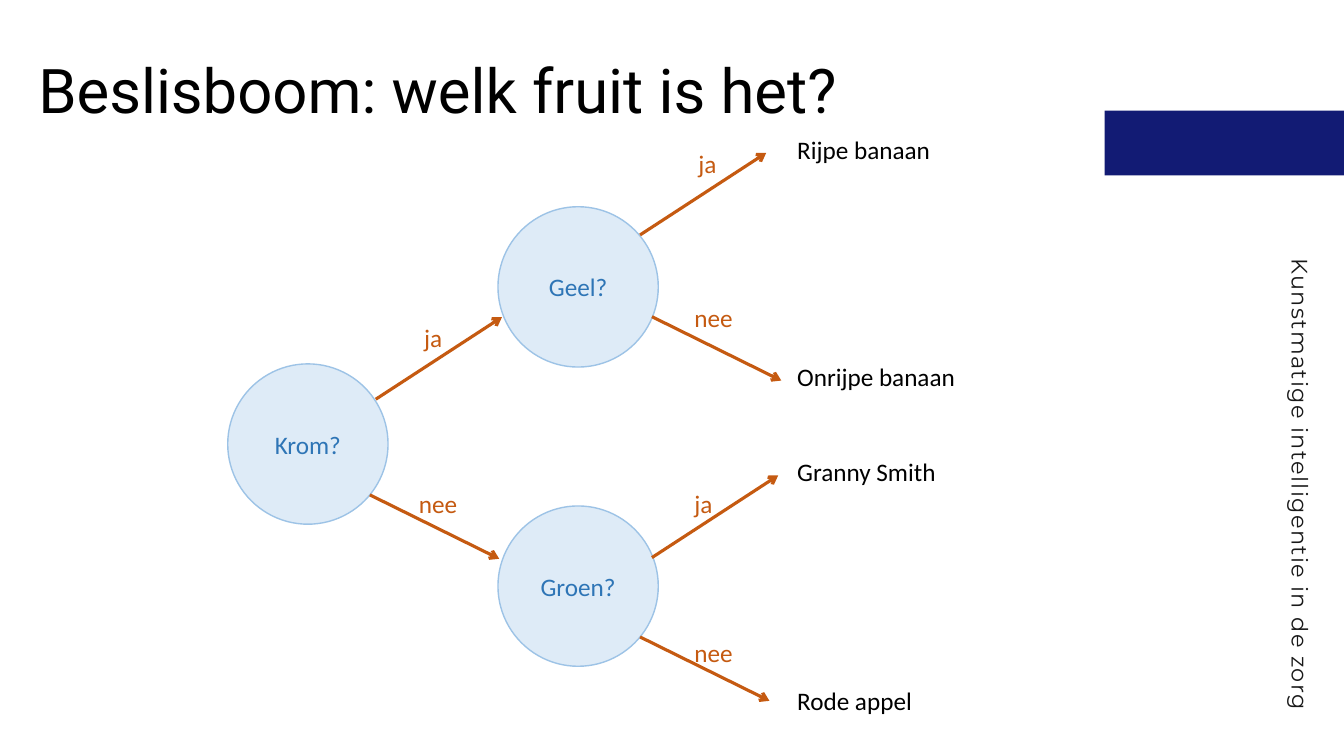
"""Build a slide with a decision tree that sorts fruit."""
from lxml import etree
from pptx import Presentation
from pptx.dml.color import RGBColor
from pptx.enum import shapes, text
from pptx.oxml.ns import qn
from pptx.util import Cm, Pt

TITLE = "Beslisboom: welk fruit is het?"
SIDE = "Kunstmatige intelligentie in de zorg"
NODES = [("Krom?", 5.74, 9.17), ("Geel?", 12.55, 5.21), ("Groen?", 12.55, 12.75)]
LEAVES = [
    ("Rijpe banaan", 3.25),
    ("Onrijpe banaan", 8.99),
    ("Granny Smith", 11.38),
    ("Rode appel", 17.15),
]
STEPS = {"ja": (3.18, -2.07), "nee": (3.26, 1.61)}
EDGES = [
    ("ja", (9.47, 10.06), (10.44, 8.0)),
    ("ja", (16.13, 5.92), (17.35, 3.61)),
    ("ja", (16.43, 14.05), (17.25, 12.17)),
    ("nee", (9.32, 12.47), (10.31, 12.17)),
    ("nee", (16.43, 7.98), (17.25, 7.49)),
    ("nee", (16.13, 16.05), (17.25, 15.93)),
]
COLORS = {
    "bar": "121B74", "side": "191919", "node": "DEEBF7", "rim": "9DC3E6",
    "ask": "2E75B6", "edge": "C55A11", "ink": "000000",
}
NODE_SIZE = 4.04
LEAF_X = 19.84


def color(name):
    return RGBColor.from_string(COLORS[name])


def write(shape, words, tint, size=18, font="Calibri", align=text.PP_ALIGN.LEFT):
    frame = shape.text_frame
    frame.text = words
    frame.word_wrap = True
    para = frame.paragraphs[0]
    para.alignment = align
    run = para.runs[0]
    run.font.size = Pt(size)
    run.font.name = font
    run.font.color.rgb = color(tint)
    return para


def add_text(slide, words, box, tint, **style):
    shape = slide.shapes.add_textbox(*map(Cm, box))
    return shape, write(shape, words, tint, **style)


def add_shape(slide, kind, box, fill):
    shape = slide.shapes.add_shape(kind, *map(Cm, box))
    shape.shadow.inherit = False
    shape.fill.solid()
    shape.fill.fore_color.rgb = color(fill)
    return shape


def add_node(slide, words, left, top):
    box = (left, top, NODE_SIZE, NODE_SIZE)
    node = add_shape(slide, shapes.MSO_SHAPE.OVAL, box, "node")
    node.line.color.rgb = color("rim")
    node.line.width = Pt(1)
    node.text_frame.vertical_anchor = text.MSO_ANCHOR.MIDDLE
    write(node, words, "ask", align=text.PP_ALIGN.CENTER)


def add_arrow(slide, start, step):
    end = (start[0] + step[0], start[1] + step[1])
    arrow = slide.shapes.add_connector(
        shapes.MSO_CONNECTOR.STRAIGHT, *map(Cm, start + end))
    arrow.line.color.rgb = color("edge")
    arrow.line.width = Pt(2.25)
    props = arrow._element.spPr
    etree.SubElement(props.find(qn("a:ln")), qn("a:tailEnd"), type="arrow")
    etree.SubElement(props, qn("a:effectLst"))


def add_side(slide):
    bar = add_shape(slide, shapes.MSO_SHAPE.RECTANGLE, (27.84, 2.79, 6.04, 1.63), "bar")
    bar.line.fill.background()
    side, para = add_text(slide, SIDE, (27.05, 11.51, 11.76, 0.99), "side",
                          size=16, font="Montserrat", align=text.PP_ALIGN.RIGHT)
    side.rotation = 90
    frame = side.text_frame
    frame.margin_left = frame.margin_right = frame.margin_top = frame.margin_bottom = 0
    para.line_spacing = Pt(28)
    para.runs[0]._r.get_or_add_rPr().set("spc", "100")


def add_title(slide):
    title = slide.shapes.title
    title.left, title.top, title.width, title.height = map(Cm, (0.71, 0.51, 22.43, 3.68))
    title.text_frame.vertical_anchor = text.MSO_ANCHOR.MIDDLE
    para = write(title, TITLE, "ink", size=44, font="Roboto")
    para.line_spacing = 0.9


def main():
    deck = Presentation()
    deck.slide_width, deck.slide_height = Cm(33.87), Cm(19.05)
    slide = deck.slides.add_slide(deck.slide_layouts[5])
    add_title(slide)
    add_side(slide)
    for node in NODES:
        add_node(slide, *node)
    for words, start, spot in EDGES:
        add_arrow(slide, start, STEPS[words])
        width = 1.35 if words == "ja" else 1.52
        add_text(slide, words, (*spot, width, 1.03), "edge")
    for words, top in LEAVES:
        add_text(slide, words, (LEAF_X, top, 5.44, 1.03), "ink")
    deck.save("out.pptx")


if __name__ == "__main__":
    main()
